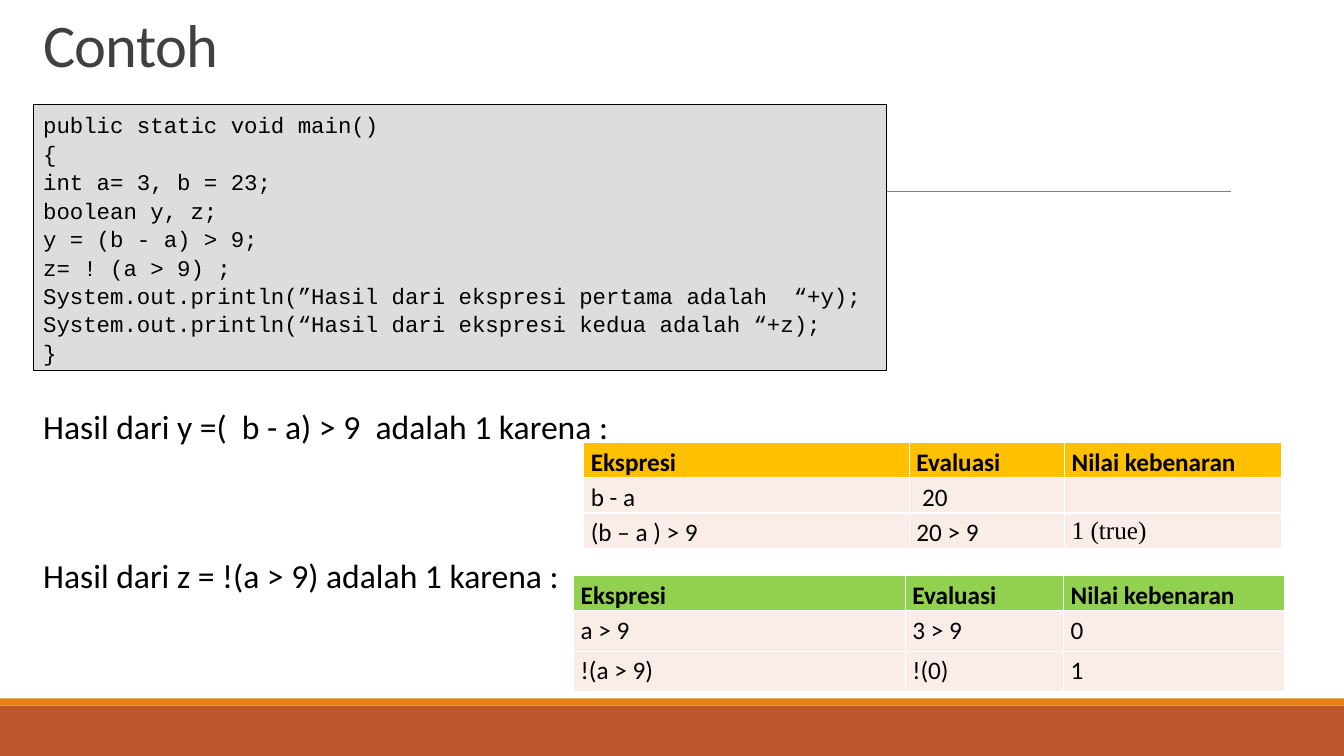
from lxml.etree import SubElement
from pptx import Presentation
from pptx.dml.color import RGBColor
from pptx.enum.shapes import MSO_CONNECTOR, MSO_SHAPE
from pptx.enum.text import MSO_ANCHOR, PP_ALIGN
from pptx.oxml import parse_xml
from pptx.oxml.ns import nsdecls, qn
from pptx.util import Inches, Pt

# Content
TITLE = "Contoh"
CODE = [
    "public static void main()",
    "{",
    "int a= 3, b = 23;",
    "boolean y, z;",
    "y = (b - a) > 9;",
    "z= ! (a > 9) ;",
    "System.out.println(”Hasil dari ekspresi pertama adalah  “+y);",
    "System.out.println(“Hasil dari ekspresi kedua adalah “+z);",
    "}",
]
HEAD = ["Ekspresi", "Evaluasi", "Nilai kebenaran"]
NOTES = [
    (3.98, 5.85, "Hasil dari y =(  b - a) > 9  adalah 1 karena :"),
    (5.46, 5.36, "Hasil dari z = !(a > 9) adalah 1 karena :"),
]
TABLES = [
    dict(at=(5.79, 4.39), cols=[3.23, 1.54, 2.15], rows=[0.35] * 3, top="FFC000",
         data=[["b - a ", " 20", ""], ["(b – a ) > 9", "20 > 9 ", "1 (true)"]]),
    dict(at=(5.69, 5.71), cols=[3.29, 1.57, 2.19], rows=[0.35, 0.4, 0.4], top="92D050",
         data=[["a > 9", "3 > 9", "0"], ["!(a > 9)", "!(0)", "1"]]),
]
SERIF = {"1 (true)"}
WIDE, HIGH, LEFT = 13.33, 7.5, 0.33

deck = Presentation()
deck.slide_width, deck.slide_height = Inches(WIDE), Inches(HIGH)
slide = deck.slides.add_slide(deck.slide_layouts[6])


# Helpers
def color(code):
    return RGBColor.from_string(code)


def paint(part, code):
    part.fill.solid()
    part.fill.fore_color.rgb = color(code)


def style(para, size, font="Calibri", code="000000", bold=False):
    para.alignment = PP_ALIGN.LEFT
    for run in para.runs:
        run.font.size, run.font.name, run.font.bold = Pt(size), font, bold
        run.font.color.rgb = color(code)


def box(x, y, w, h, fill):
    shape = slide.shapes.add_shape(MSO_SHAPE.RECTANGLE, *map(Inches, (x, y, w, h)))
    shape.shadow.inherit = False
    paint(shape, fill)
    shape.line.fill.background()
    return shape


def label(x, y, w, h, text, size, code="000000", wrap=False):
    frame = slide.shapes.add_textbox(*map(Inches, (x, y, w, h))).text_frame
    frame.word_wrap = wrap
    frame.text = text
    style(frame.paragraphs[0], size, code=code)
    return frame


def edge(cell):
    props = cell._tc.get_or_add_tcPr()
    for spot, side in enumerate(("lnL", "lnR", "lnT", "lnB")):
        props.insert(spot, parse_xml(
            f'<a:{side} {nsdecls("a")} w="12700"><a:solidFill>'
            f'<a:srgbClr val="FFFFFF"/></a:solidFill></a:{side}>'))


def grid(at, cols, rows, top, data):
    size = (sum(cols), sum(rows))
    table = slide.shapes.add_table(len(rows), len(cols), *map(Inches, at + size)).table
    for col, w in zip(table.columns, cols):
        col.width = Inches(w)
    for r, (line, h) in enumerate(zip([HEAD] + data, rows)):
        table.rows[r].height = Inches(h)
        for c, text in enumerate(line):
            cell = table.cell(r, c)
            cell.margin_left = cell.margin_right = Inches(0.07)
            cell.margin_top = cell.margin_bottom = 0
            paint(cell, "FAEDE7" if r else top)
            edge(cell)
            para = cell.text_frame.paragraphs[0]
            para.text = text
            para.line_spacing, para.space_before = 1.15, Pt(6)
            style(para, 18, "Times New Roman" if text in SERIF else "Calibri", bold=r == 0)


# Footer bands and rule
box(0, 7, WIDE, 0.5, "BD582C")
box(0, 6.93, WIDE, 0.07, "E48312")
rule = slide.shapes.add_connector(
    MSO_CONNECTOR.STRAIGHT, *map(Inches, (1.31, 1.9, 12.21, 1.9)))
rule.line.color.rgb, rule.line.width = color("808080"), Pt(0.5)
SubElement(rule._element.spPr, qn("a:effectLst"))

# Title
frame = label(LEFT, 0.2, 5.45, 0.64, TITLE, 43.2, "404040", True)
frame.vertical_anchor = MSO_ANCHOR.BOTTOM
title = frame.paragraphs[0]
title.line_spacing = 0.85
title.runs[0].font._element.set("spc", "-50")

# Code
panel = box(LEFT, 1.04, 8.46, 2.64, "DDDDDD")
panel.line.color.rgb, panel.line.width = color("000000"), Pt(0.75)
frame = panel.text_frame
frame.vertical_anchor = MSO_ANCHOR.TOP
frame.text = "\n".join(CODE)
for para in frame.paragraphs:
    para.line_spacing = 1.06
    style(para, 16, "Courier New")
para.space_after = Pt(8)

# Tables and notes
for table in TABLES:
    grid(**table)
for y, w, text in NOTES:
    label(LEFT, y, w, 0.5, text, 24)

deck.save("out.pptx")
